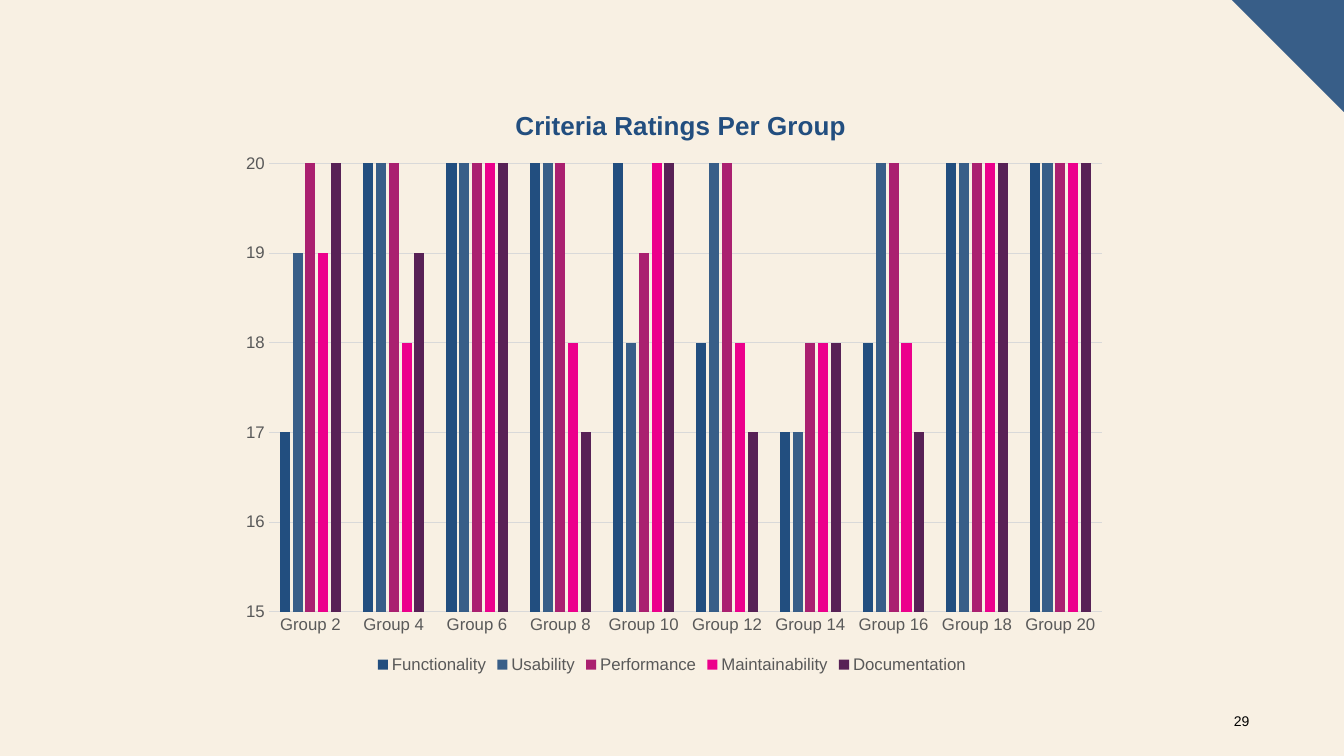
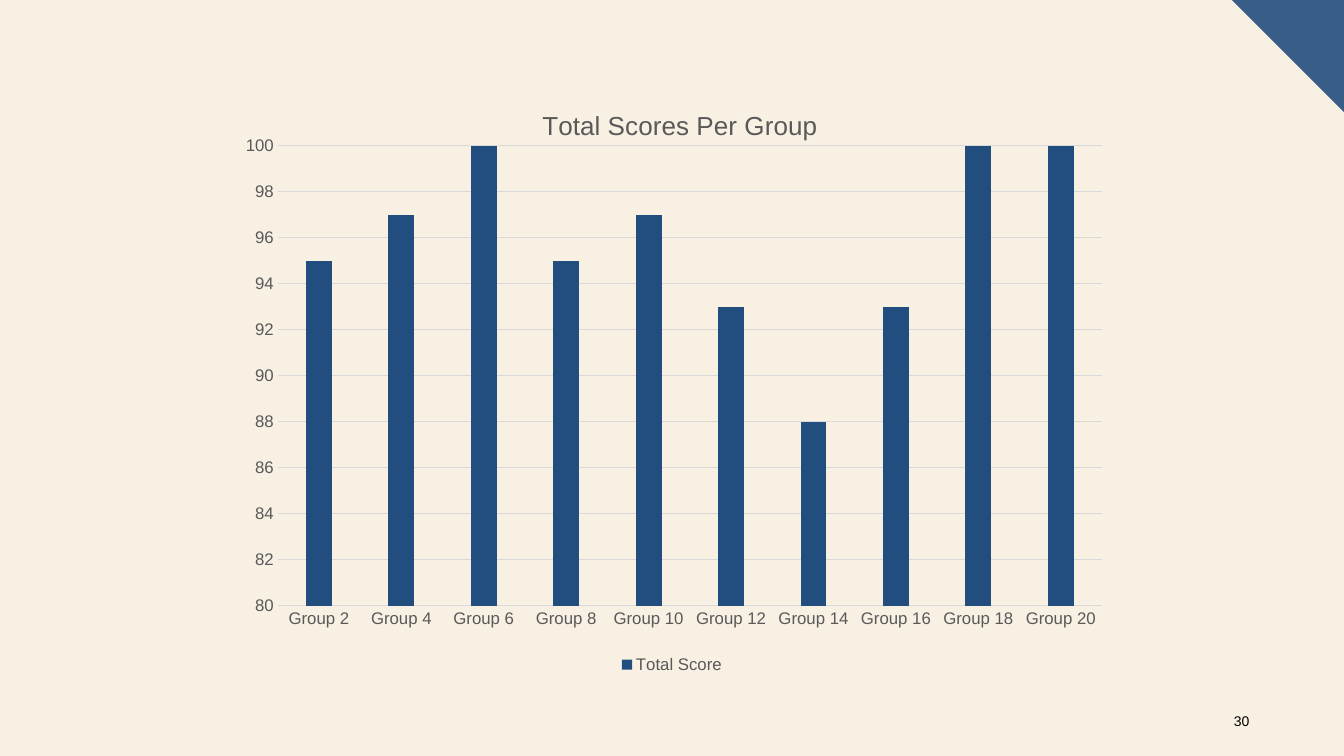
from lxml.etree import SubElement
from pptx import Presentation
from pptx.chart.data import CategoryChartData as ChartData
from pptx.dml.color import RGBColor
from pptx.enum.chart import XL_CHART_TYPE as ChartType
from pptx.enum.chart import XL_LEGEND_POSITION as LegendPosition
from pptx.enum.chart import XL_TICK_MARK as TickMark
from pptx.enum.text import MSO_ANCHOR as Anchor
from pptx.enum.text import PP_ALIGN as Align
from pptx.oxml.ns import qn
from pptx.util import Pt

CREAM = RGBColor(0xF8, 0xF0, 0xE3)
NAVY = RGBColor(0x22, 0x4E, 0x7F)
STEEL = RGBColor(0x38, 0x5E, 0x88)
BERRY = RGBColor(0xAA, 0x20, 0x70)
PINK = RGBColor(0xEC, 0x00, 0x8C)
PLUM = RGBColor(0x58, 0x21, 0x56)
GRAY = RGBColor(0x59, 0x59, 0x59)
PALE = RGBColor(0xD9, 0xD9, 0xD9)
BLACK = RGBColor(0, 0, 0)

FONT = "Arial"
WIDTH, HEIGHT = 960, 540
CORNER = 80
GROUPS = [f"Group {number}" for number in range(2, 21, 2)]


def set_layout(parent, index, **fractions):
    """Place a chart part by fractions of the chart's size."""
    for old in parent.findall(qn("c:layout")):
        parent.remove(old)
    layout = SubElement(parent, qn("c:layout"))
    parent.insert(index, layout)
    manual = SubElement(layout, qn("c:manualLayout"))
    if "w" in fractions:
        SubElement(manual, qn("c:layoutTarget")).set("val", "inner")
    for side in "xy":
        SubElement(manual, qn(f"c:{side}Mode")).set("val", "edge")
    for key, value in fractions.items():
        SubElement(manual, qn(f"c:{key}")).set("val", str(value))


class Report:
    def __init__(self):
        self.deck = Presentation()
        self.deck.slide_width, self.deck.slide_height = Pt(WIDTH), Pt(HEIGHT)
        self.page = None

    def style(self, font, size, color, bold=False):
        font.name, font.size, font.bold = FONT, Pt(size), bold
        font.color.rgb = color

    def add_page(self, number):
        self.page = self.deck.slides.add_slide(self.deck.slide_layouts[6])
        fill = self.page.background.fill
        fill.solid()
        fill.fore_color.rgb = CREAM
        self.add_corner()
        self.add_number(number)

    def add_corner(self):
        builder = self.page.shapes.build_freeform(Pt(WIDTH - CORNER), 0)
        builder.add_line_segments([(Pt(WIDTH), 0), (Pt(WIDTH), Pt(CORNER))])
        corner = builder.convert_to_shape()
        corner.shadow.inherit = False
        corner.fill.solid()
        corner.fill.fore_color.rgb = STEEL
        corner.line.fill.background()

    def add_number(self, number):
        box = self.page.shapes.add_textbox(Pt(863.5), Pt(500.5), Pt(36), Pt(29))
        frame = box.text_frame
        frame.word_wrap = True
        frame.vertical_anchor = Anchor.MIDDLE
        frame.text = str(number)
        para = frame.paragraphs[0]
        para.alignment = Align.RIGHT
        self.style(para.runs[0].font, 10, BLACK)

    def add_columns(self, series, title, title_spot, plot_spot, scale,
                    title_color=GRAY, bold=False):
        data = ChartData()
        data.categories = GROUPS
        for name, values, _ in series:
            data.add_series(name, values)
        chart = self.page.shapes.add_chart(
            ChartType.COLUMN_CLUSTERED, Pt(160), Pt(57), Pt(640), Pt(427), data
        ).chart
        self.style(chart.font, 10, BLACK)

        # Title
        frame = chart.chart_title.text_frame
        frame.text = title
        self.style(frame.paragraphs[0].runs[0].font, 18.6, title_color, bold)
        title_x, title_y = title_spot
        set_layout(frame.paragraphs[0]._p.getparent().getparent().getparent(),
                   1, x=title_x, y=title_y)

        # Columns
        plot = chart.plots[0]
        plot.gap_width, plot.overlap = 219, -27
        plot.vary_by_categories = False
        for column, (_, _, color) in zip(plot.series, series):
            column.format.fill.solid()
            column.format.fill.fore_color.rgb = color
        set_layout(chart._chartSpace.chart.plotArea, 0,
                   **dict(zip("xywh", plot_spot)))

        # Axes
        for axis in (chart.category_axis, chart.value_axis):
            axis.major_tick_mark = axis.minor_tick_mark = TickMark.NONE
            self.style(axis.tick_labels.font, 12, GRAY)
        values_axis = chart.value_axis
        values_axis.minimum_scale, values_axis.maximum_scale, values_axis.major_unit = scale
        values_axis.format.line.fill.background()
        for line in (chart.category_axis.format.line,
                     values_axis.major_gridlines.format.line):
            line.color.rgb = PALE
            line.width = Pt(0.75)

        # Legend
        chart.has_legend = True
        chart.legend.position = LegendPosition.BOTTOM
        chart.legend.include_in_layout = False
        self.style(chart.legend.font, 12, GRAY)


def main():
    report = Report()

    # Ratings by criterion
    report.add_page(29)
    report.add_columns(
        [
            ("Functionality", [17, 20, 20, 20, 20, 18, 17, 18, 20, 20], NAVY),
            ("Usability", [19, 20, 20, 20, 18, 20, 17, 20, 20, 20], STEEL),
            ("Performance", [20, 20, 20, 20, 19, 20, 18, 20, 20, 20], BERRY),
            ("Maintainability", [19, 18, 20, 18, 20, 18, 18, 18, 20, 20], PINK),
            ("Documentation", [20, 19, 20, 17, 20, 17, 18, 17, 20, 20], PLUM),
        ],
        "Criteria Ratings Per Group", (0.32, 0.04), (0.05, 0.14, 0.93, 0.75),
        (15, 20, 1), NAVY, bold=True,
    )

    # Total scores
    report.add_page(30)
    report.add_columns(
        [("Total Score", [95, 97, 100, 95, 97, 93, 88, 93, 100, 100], NAVY)],
        "Total Scores Per Group", (0.35, 0.04), (0.06, 0.11, 0.92, 0.77),
        (80, 100, 2),
    )
    report.deck.save("out.pptx")


if __name__ == "__main__":
    main()
